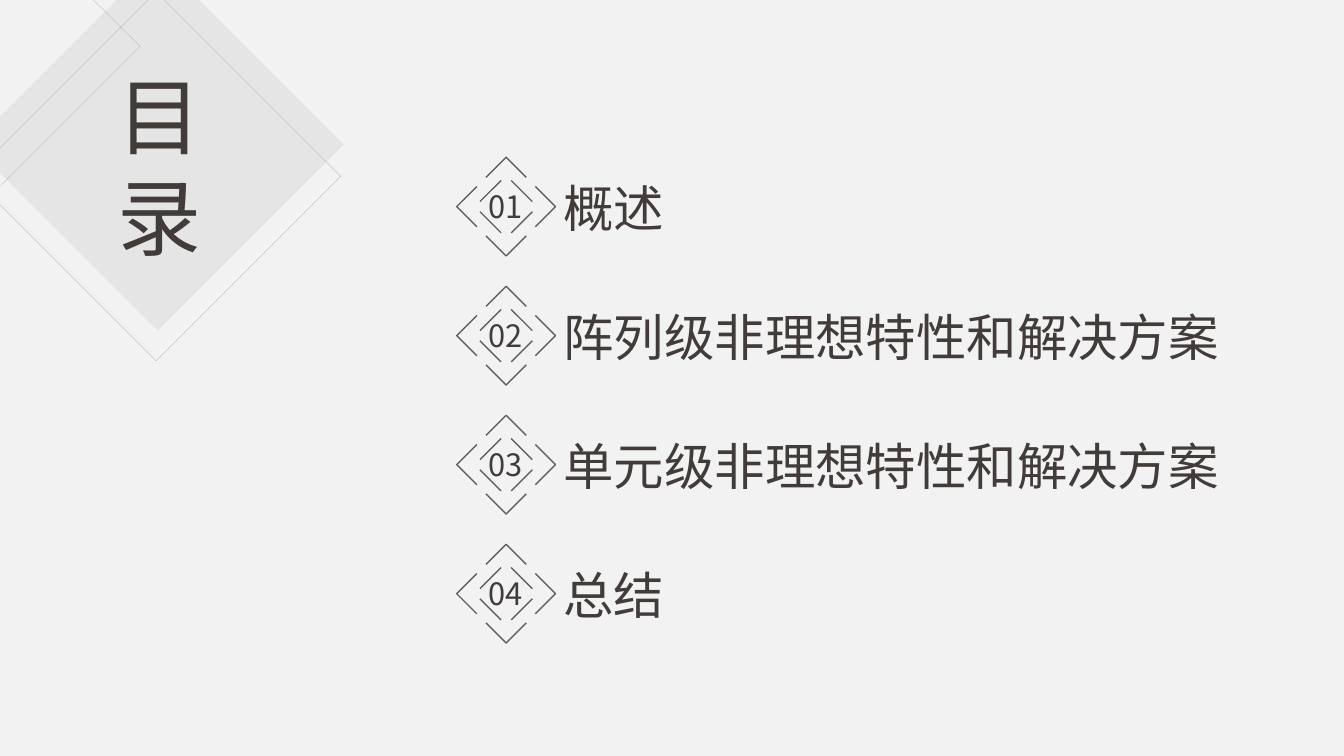
from lxml import etree
from pptx import Presentation
from pptx.dml.color import RGBColor
from pptx.enum.shapes import MSO_SHAPE
from pptx.enum.text import MSO_ANCHOR, MSO_AUTO_SIZE, PP_ALIGN
from pptx.oxml.ns import qn
from pptx.util import Inches, Pt

DIAMOND = MSO_SHAPE.DIAMOND
TOP = MSO_ANCHOR.TOP
GROW = MSO_AUTO_SIZE.SHAPE_TO_FIT_TEXT
LEFT, CENTER = PP_ALIGN.LEFT, PP_ALIGN.CENTER
TITLE_ONLY = 5

FONT = "Noto Sans CJK SC"
COLORS = {
    "background": "F2F2F2",
    "diamond": "A6A6A6",
    "outline": "808080",
    "badge": "616161",
    "text": "413B39",
}

# Agenda entries with the width of their text boxes
ENTRIES = [
    ("概述", 3.77),
    ("阵列级非理想特性和解决方案", 6.94),
    ("单元级非理想特性和解决方案", 6.94),
    ("总结", 3.77),
]
BADGE_X, FIRST_Y, ROW_STEP = 5.02, 2.05, 1.28


class AgendaSlide:
    def __init__(self, presentation):
        layout = presentation.slide_layouts[TITLE_ONLY]
        self.slide = presentation.slides.add_slide(layout)
        fill = self.slide.background.fill
        fill.solid()
        fill.fore_color.rgb = self.color("background")

    def color(self, name):
        return RGBColor.from_string(COLORS[name])

    def set_opacity(self, fill_parent, percent):
        color = fill_parent.find(qn("a:solidFill"))[0]
        alpha = etree.SubElement(color, qn("a:alpha"))
        alpha.set("val", str(percent * 1000))

    def style_line(self, shape, color, width, opacity=100):
        shape.shadow.inherit = False
        shape.fill.background()
        shape.line.color.rgb = self.color(color)
        shape.line.width = Pt(width)
        if opacity < 100:
            self.set_opacity(shape.element.spPr.find(qn("a:ln")), opacity)

    def diamond(self, left, top, size):
        return self.slide.shapes.add_shape(
            DIAMOND, Inches(left), Inches(top), Inches(size), Inches(size))

    def filled_diamond(self, left, top, size, color, opacity):
        shape = self.diamond(left, top, size)
        shape.shadow.inherit = False
        shape.fill.solid()
        shape.fill.fore_color.rgb = self.color(color)
        self.set_opacity(shape.element.spPr, opacity)
        shape.line.fill.background()

    def polyline(self, shapes, points, close=False):
        start, *rest = [(Inches(x), Inches(y)) for x, y in points]
        builder = shapes.build_freeform(*start)
        builder.add_line_segments(rest, close=close)
        return builder.convert_to_shape()

    def fill_text(self, shape, text, size, align):
        frame = shape.text_frame
        frame.word_wrap = True
        frame.auto_size = GROW
        frame.vertical_anchor = TOP
        paragraph = frame.paragraphs[0]
        paragraph.alignment = align
        paragraph.line_spacing = 1.0
        run = paragraph.add_run()
        run.text = text
        run.font.size = Pt(size)
        run.font.name = FONT
        run.font.color.rgb = self.color("text")
        east_asian = etree.SubElement(run.font._element, qn("a:ea"))
        east_asian.set("typeface", FONT)

    def text(self, shapes, box, text, size, align=LEFT):
        shape = shapes.add_textbox(*[Inches(length) for length in box])
        self.fill_text(shape, text, size, align)

    def title(self, box, text, size):
        shape = self.slide.shapes.title
        shape.left, shape.top, shape.width, shape.height = [
            Inches(length) for length in box]
        self.fill_text(shape, text, size, CENTER)
        # Bring the title in front of the diamonds
        shape.element.getparent().append(shape.element)

    def badge(self, x, y, number):
        shapes = self.slide.shapes.add_group_shape().shapes
        tip, back, half = 0.49, 0.29, 0.2
        near, far = 0.05, 0.26
        strokes = []
        # Outer chevrons: up, down, left, right
        for sign in (-1, 1):
            chevron = [(-half, sign * back), (0, sign * tip), (half, sign * back)]
            strokes.append(chevron)
            strokes.append([(dy, dx) for dx, dy in chevron])
        # Inner diagonals, one in each quadrant
        for sign_x in (-1, 1):
            for sign_y in (-1, 1):
                strokes.append([(sign_x * near, sign_y * far),
                                (sign_x * far, sign_y * near)])
        for stroke in strokes:
            points = [(x + dx, y + dy) for dx, dy in stroke]
            self.style_line(self.polyline(shapes, points), "badge", 1)
        self.text(shapes, (x - 0.38, y - 0.24, 0.75, 0.47), number, 22, CENTER)


def main():
    presentation = Presentation()
    presentation.slide_width = Inches(13.33)
    presentation.slide_height = Inches(7.5)
    agenda = AgendaSlide(presentation)

    # Corner decoration
    agenda.filled_diamond(-0.28, -0.41, 3.69, "diamond", 16)
    corner = agenda.polyline(
        agenda.slide.shapes,
        [(-0.02, -0.94), (1.39, 0.46), (-0.02, 1.87)], close=True)
    agenda.style_line(corner, "outline", 0.25, 48)
    agenda.style_line(agenda.diamond(-0.28, -0.08, 3.66), "outline", 0.25, 48)

    # Title
    agenda.title((0.98, 0.59, 1.21, 2.12), "目录", 60)

    # Numbered entries
    for index, (entry, width) in enumerate(ENTRIES):
        y = FIRST_Y + index * ROW_STEP
        agenda.badge(BADGE_X, y, f"{index + 1:02d}")
        agenda.text(agenda.slide.shapes, (5.49, y - 0.34, width, 0.71), entry, 36)

    presentation.save("out.pptx")


if __name__ == "__main__":
    main()
